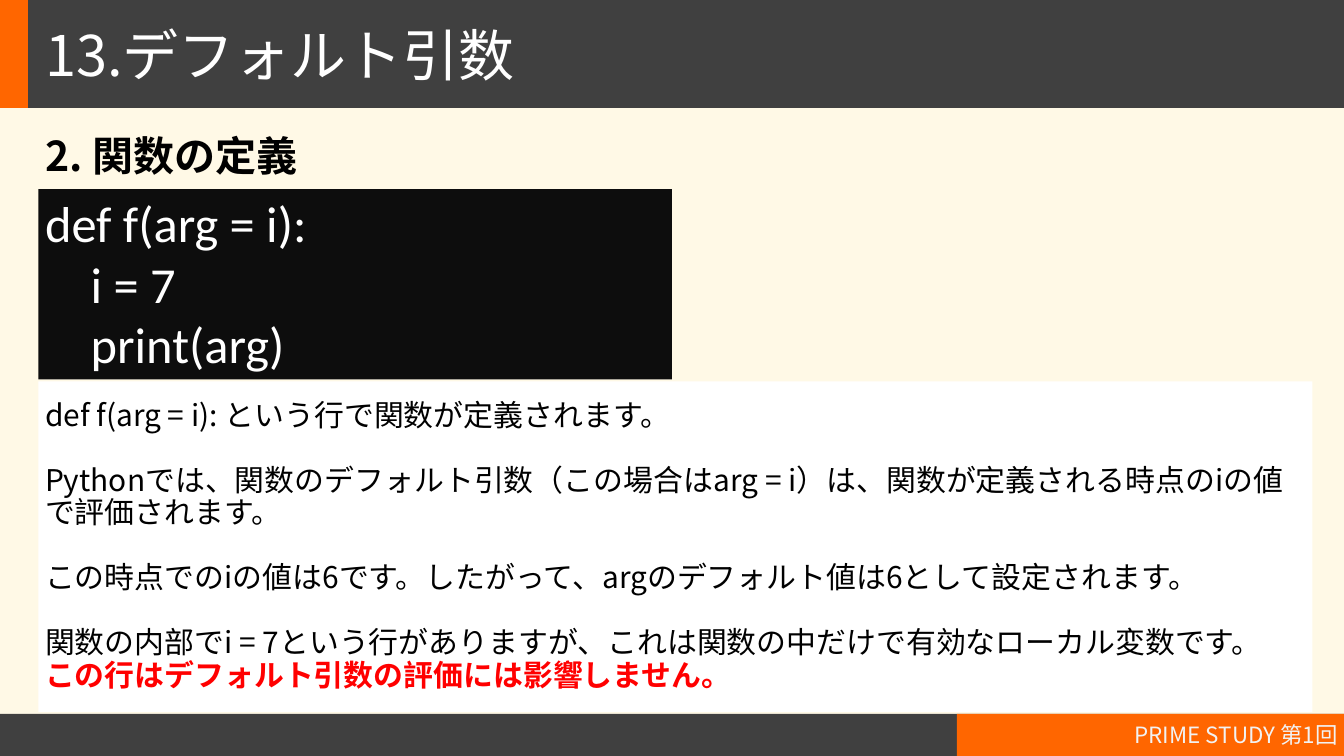
import pptx
import pptx.dml.color
import pptx.enum.shapes
import pptx.enum.text
import pptx.oxml.ns
import pptx.util
from lxml import etree

RGB = pptx.dml.color.RGBColor
CREAM = RGB(0xFF, 0xF9, 0xE6)
CHARCOAL = RGB(0x40, 0x40, 0x40)
ORANGE = RGB(0xFF, 0x66, 0x00)
CODE_BLACK = RGB(0x0D, 0x0D, 0x0D)
WHITE = RGB(0xFF, 0xFF, 0xFF)
PALE_GRAY = RGB(0xF2, 0xF2, 0xF2)
BLACK = RGB(0x00, 0x00, 0x00)
RED = RGB(0xFF, 0x00, 0x00)

JAPANESE_FONT = "Noto Sans CJK JP"
CODE_FONT = "Calibri"
ALIGN = pptx.enum.text.PP_ALIGN
ANCHOR = pptx.enum.text.MSO_ANCHOR
PX = 9525  # EMU in one px, 96 px to the inch


def add_bar(left, top, width, height, color):
    bar = slide.shapes.add_shape(
        pptx.enum.shapes.MSO_SHAPE.RECTANGLE,
        left * PX, top * PX, width * PX, height * PX)
    bar.fill.solid()
    bar.fill.fore_color.rgb = color
    bar.line.fill.background()
    bar.shadow.inherit = False
    return bar


def write(shape, text, *, size, color, font=JAPANESE_FONT, bold=False,
          align=ALIGN.LEFT, anchor=ANCHOR.TOP, spacing=0.9, before=0):
    """Add one paragraph, using the empty first one if there is one."""
    frame = shape.text_frame
    frame.word_wrap = True
    frame.vertical_anchor = anchor
    paragraph = frame.paragraphs[0] if not frame.text else frame.add_paragraph()
    paragraph.alignment = align
    paragraph.line_spacing = spacing
    paragraph.space_before = pptx.util.Pt(before)
    run = paragraph.add_run()
    run.text = text
    run.font.name = font
    run.font.size = pptx.util.Pt(size)
    run.font.bold = bold
    run.font.color.rgb = color
    east_asian = etree.SubElement(run.font._element, pptx.oxml.ns.qn("a:ea"))
    east_asian.set("typeface", font)


presentation = pptx.Presentation()
presentation.slide_width = 1920 * PX
presentation.slide_height = 1080 * PX
slide = presentation.slides.add_slide(presentation.slide_layouts[5])
slide.background.fill.solid()
slide.background.fill.fore_color.rgb = CREAM

# Footer and header bands
add_bar(0, 1020, 1920, 60, CHARCOAL)
add_bar(1367, 1020, 553, 60, ORANGE)
add_bar(0, 0, 1920, 154, CHARCOAL)
add_bar(0, 0, 40, 154, ORANGE)

# Title, brought in front of the header band
title = slide.shapes.title
title.element.getparent().append(title.element)
title.left, title.top = 55 * PX, 36 * PX
title.width, title.height = 1853 * PX, 81 * PX
write(title, "13.デフォルト引数", size=60, color=WHITE)

footer = slide.shapes.add_textbox(1272 * PX, 1020 * PX, 648 * PX, 58 * PX)
write(footer, "PRIME STUDY 第1回", size=24, color=PALE_GRAY,
      align=ALIGN.RIGHT, anchor=ANCHOR.MIDDLE, spacing=1.0)

heading = slide.shapes.add_textbox(55 * PX, 189 * PX, 714 * PX, 81 * PX)
write(heading, "2. 関数の定義", size=44, color=BLACK, bold=True)

# Code listing
code = add_bar(55, 270, 905, 272, CODE_BLACK)
for line in ("def f(arg = i):", "    i = 7", "    print(arg)"):
    write(code, line, size=54, color=WHITE, font=CODE_FONT, spacing=1.0)

# Explanation: one line of space between the remarks, the last one in red
explanation = add_bar(55, 545, 1820, 472, WHITE)
remarks = [
    ("def f(arg = i): という行で関数が定義されます。", BLACK, 0),
    ("Pythonでは、関数のデフォルト引数（この場合はarg = i）は、"
     "関数が定義される時点のiの値で評価されます。", BLACK, 35),
    ("この時点でのiの値は6です。したがって、"
     "argのデフォルト値は6として設定されます。", BLACK, 35),
    ("関数の内部でi = 7という行がありますが、"
     "これは関数の中だけで有効なローカル変数です。", BLACK, 35),
    ("この行はデフォルト引数の評価には影響しません。", RED, 0),
]
for text, color, before in remarks:
    write(explanation, text, size=32, color=color, bold=color == RED,
          anchor=ANCHOR.MIDDLE, before=before)

presentation.save("out.pptx")
